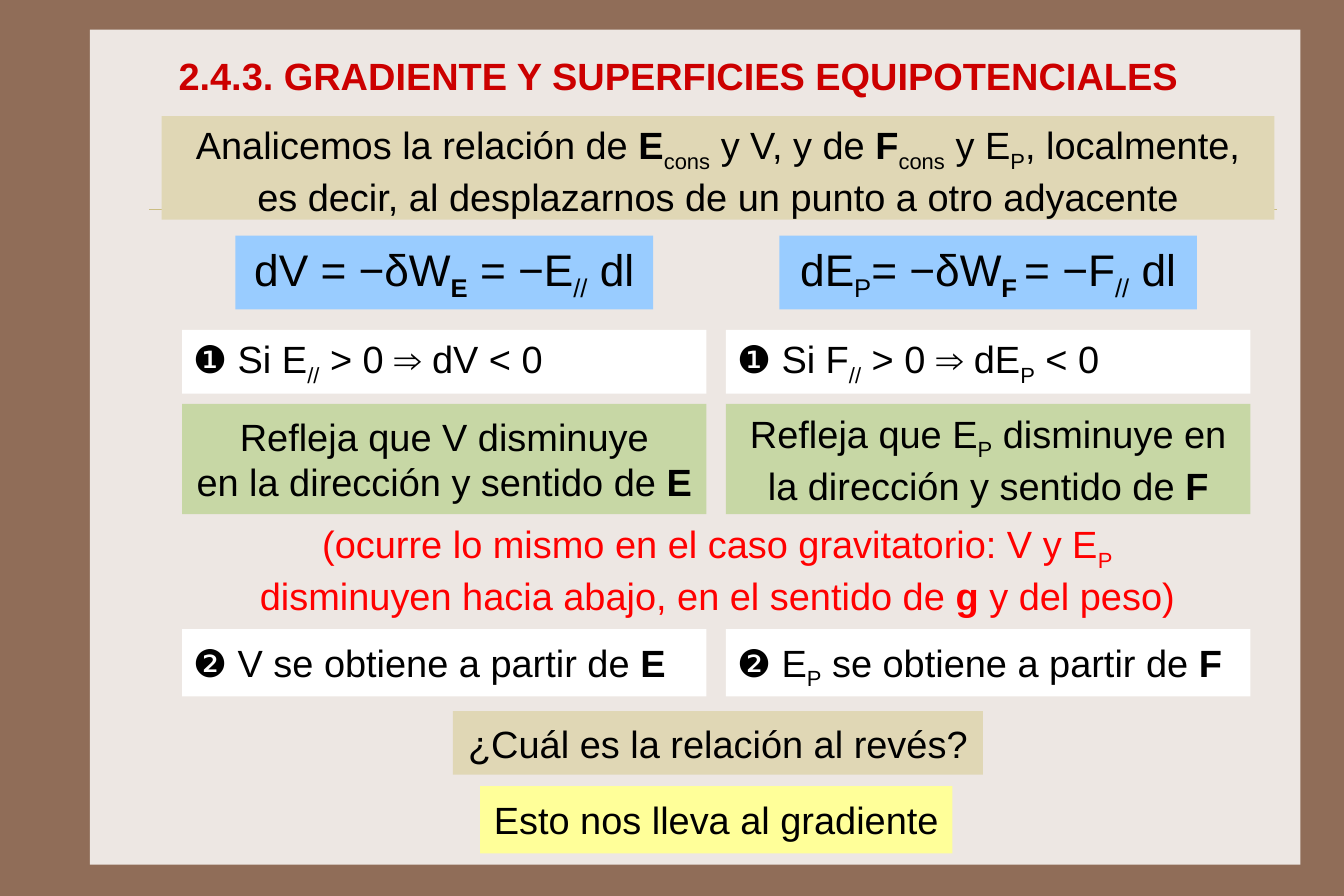
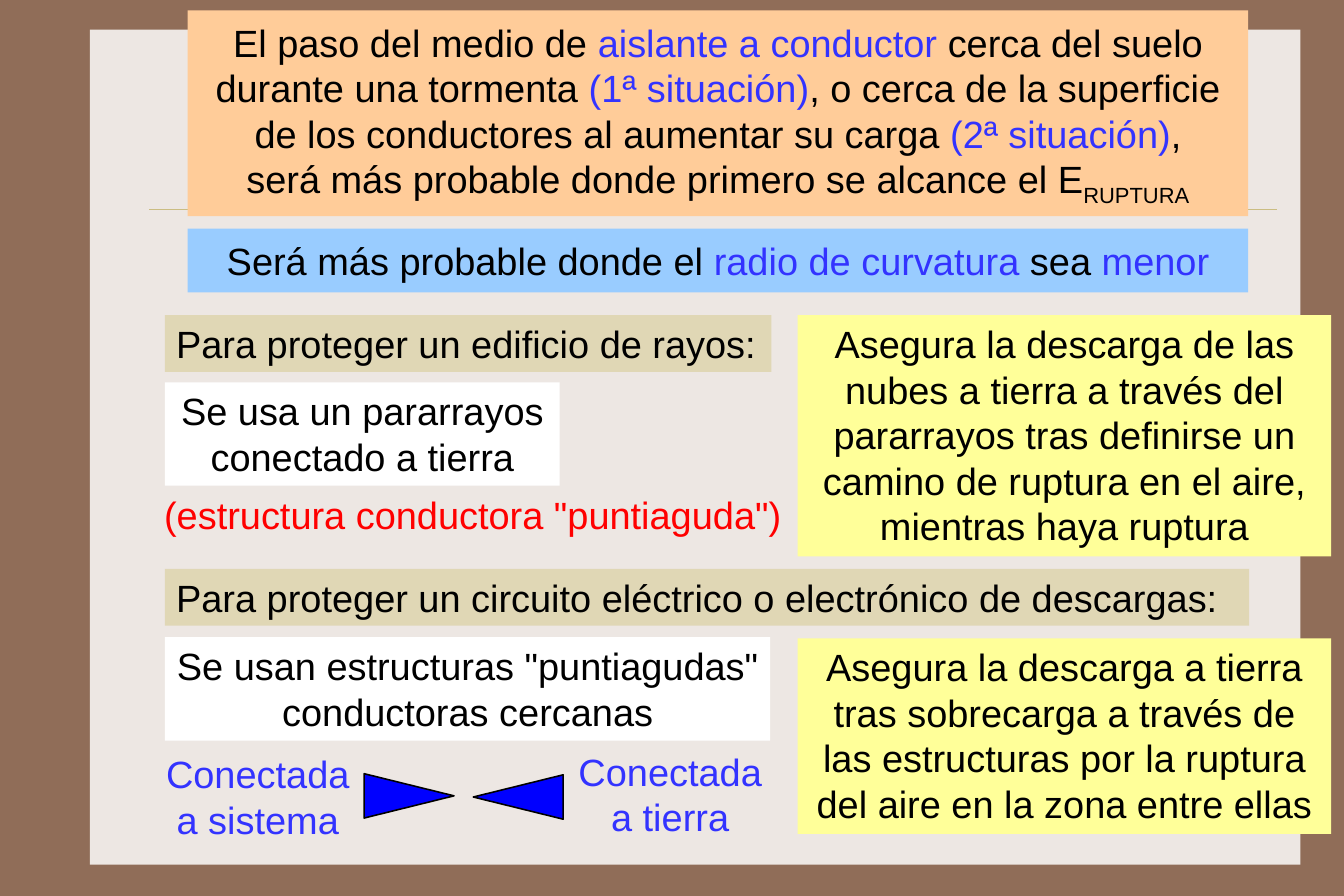
"""Build two slides on the potential gradient and on corona discharge."""
from dataclasses import dataclass
from typing import Optional

from lxml.etree import SubElement
from pptx import Presentation
from pptx.dml.color import RGBColor as Rgb
from pptx.enum.shapes import MSO_CONNECTOR as Link, MSO_SHAPE as Form
from pptx.enum.text import MSO_ANCHOR as Anchor, PP_ALIGN as Align
from pptx.oxml.ns import qn
from pptx.slide import Slide
from pptx.text.text import _Paragraph as Para
from pptx.util import Inches, Pt

CELL = 0.1
WIDE, HIGH = Pt(850.5), Pt(567)


@dataclass(frozen=True)
class Theme:
    """Colours and type sizes of the deck."""
    font: str = "Arial"
    body: int = 24
    large: int = 28
    frame: str = "906D58"
    panel: str = "EDE7E3"
    rule: str = "CBBD83"
    title: str = "CC0000"
    ink: str = "000000"
    note: str = "FF0000"
    accent: str = "3333FF"
    sand: str = "E0D7B5"
    green: str = "C7D7A5"
    white: str = "FFFFFF"
    sky: str = "99CCFF"
    yellow: str = "FFFF99"
    peach: str = "FFCC99"
    spike: str = "0000FF"


T = Theme()


@dataclass(frozen=True)
class Box:
    """A text block in grid cells; * bold, _ subscript, | accent toggle in its text."""
    x: float
    y: float
    w: float
    h: float
    text: str
    fill: Optional[str] = None
    ink: str = T.ink
    size: int = T.body
    bold: bool = False
    mid: bool = True
    top: bool = False
    pad: tuple[float, float] = (1, 0.5)
    wrap: bool = True


@dataclass(frozen=True)
class Pair:
    """A row of two matching boxes, inset from the sides of their columns."""
    y: float
    h: float
    texts: tuple[str, str]
    fill: str
    size: int = T.body
    mid: bool = False
    top: bool = False
    pad: tuple[float, float] = (1, 0.5)
    inset: float = 0


@dataclass(frozen=True)
class Spike:
    """A pointed conductor, turned by an angle."""
    x: float
    y: float
    turn: int


COLS = (16, 63.8)
COL_W = 46.1
SPAN_X, SPAN_W = 16.5, 93.2
LEFT, RIGHT = 14.5, 70.1
RIGHT_W = 46.9
SPIKE_W, SPIKE_H = 3.9, 7.9

PAIRS = (
    Pair(20.7, 6.5, ("dV = −δW_*E*_ = −E_//_ dl", "dE_P_= −δW_*F *_= −F_//_ dl"),
         T.sky, T.large, mid=True, pad=(1, 0.9), inset=4.7),
    Pair(29, 5.6, ("❶ Si E_//_ > 0 ⇒ dV < 0", "❶ Si F_//_ > 0 ⇒ dE_P_ < 0"), T.white),
    Pair(35.5, 9.7, ("Refleja que V disminuye\nen la dirección y sentido de *E*",
                     "Refleja que E_P_ disminuye en la dirección y sentido de *F*"),
         T.green, mid=True, pad=(1.2, 0.8)),
    Pair(55.3, 5.9, ("❷ V se obtiene a partir de *E*", "❷ E_P_ se obtiene a partir de *F*"),
         T.white, top=True, pad=(1, 0.9)),
)

FIELD = (
    Box(14.6, 4.1, 95.3, 5.1, "2.4.3. GRADIENTE Y SUPERFICIES EQUIPOTENCIALES",
        ink=T.title, bold=True, mid=False, pad=(1.1, 0.5)),
    Box(14.2, 10.2, 97.8, 9.1,
        "Analicemos la relación de *E*_cons_ y V, y de *F*_cons_ y E_P_, localmente, "
        "es decir, al desplazarnos de un punto a otro adyacente", T.sand, top=True, pad=(1.5, 0.5)),
    Box(19.8, 45.3, 86.5, 9.1,
        "(ocurre lo mismo en el caso gravitatorio: V y E_P_ "
        "disminuyen hacia abajo, en el sentido de *g* y del peso)", ink=T.note, top=True),
    Box(39.8, 62.5, 46.6, 5.6, "¿Cuál es la relación al revés?", T.sand),
    Box(42.2, 69.1, 41.5, 5.9, "Esto nos lleva al gradiente", T.yellow, pad=(1, 0.9), wrap=False),
)

GUARD = (
    Box(SPAN_X, 20.1, SPAN_W, 5.6, "Será más probable donde el |radio de curvatura |sea |menor|",
        T.sky, pad=(1, 0.8)),
    Box(SPAN_X, 0.9, SPAN_W, 18.1,
        "El paso del medio de |aislante a conductor |cerca del suelo\n"
        "durante una tormenta |(1ª situación)|, o cerca de la superficie\n"
        "de los conductores al aumentar su carga |(2ª situación)|,\n"
        "será más probable donde primero se alcance el E_RUPTURA_", T.peach, pad=(1, 0.8)),
    Box(LEFT, 27.7, 53.3, 5, "Para proteger un edificio de rayos:", T.sand, mid=False, top=True),
    Box(LEFT, 33.6, 34.7, 9.1, "Se usa un pararrayos conectado a tierra", T.white, top=True),
    Box(13.4, 42.7, 56.3, 5.1, '(estructura conductora "puntiaguda")', ink=T.note, top=True),
    Box(RIGHT, 27.7, RIGHT_W, 21.2,
        "Asegura la descarga de las nubes a tierra a través del pararrayos tras definirse "
        "un camino de ruptura en el aire, mientras haya ruptura", T.yellow, top=True),
    Box(LEFT, 50, 95.3, 5, "Para proteger un circuito eléctrico o electrónico de descargas:",
        T.sand, mid=False, top=True),
    Box(LEFT, 56, 53.2, 9.1, 'Se usan estructuras "puntiagudas" conductoras cercanas',
        T.white, top=True),
    Box(13.4, 65.5, 18.5, 9.1, "Conectada a sistema", ink=T.accent, top=True),
    Box(49.8, 65.3, 18.2, 9.1, "Conectada a tierra", ink=T.accent, top=True),
    Box(RIGHT, 56.1, RIGHT_W, 17.2,
        "Asegura la descarga a tierra tras sobrecarga a través de las estructuras por la "
        "ruptura del aire en la zona entre ellas", T.yellow, top=True),
)

SPIKES = (Spike(34, 66, 90), Spike(43.6, 66.1, 270))


def cells(*spans: float) -> list[Inches]:
    """Turn grid cells into slide lengths."""
    return [Inches(span * CELL) for span in spans]


def hue(code: str) -> Rgb:
    """Read a colour code."""
    return Rgb.from_string(code)


def write(para: Para, text: str) -> None:
    """Add the runs of one marked line."""
    marks = {"*": False, "_": False, "|": False}
    part = ""
    for sign in text + "\n":
        if sign not in marks and sign != "\n":
            part += sign
            continue
        if part:
            run = para.add_run()
            run.text = part
            if marks["*"]:
                run.font.bold = True
            if marks["_"]:
                run.font._element.set("baseline", "-25000")
            if marks["|"]:
                run.font.color.rgb = hue(T.accent)
            part = ""
        if sign in marks:
            marks[sign] = not marks[sign]


def draw_box(slide: Slide, box: Box) -> None:
    """Draw a text block, filled or bare."""
    place = cells(box.x, box.y, box.w, box.h)
    if box.fill:
        shape = slide.shapes.add_shape(Form.RECTANGLE, *place)
        shape.shadow.inherit = False
        shape.fill.solid()
        shape.fill.fore_color.rgb = hue(box.fill)
        shape.line.fill.background()
    else:
        shape = slide.shapes.add_textbox(*place)
    frame = shape.text_frame
    frame.word_wrap = box.wrap
    frame.vertical_anchor = Anchor.TOP if box.top else Anchor.MIDDLE
    side, edge = cells(*box.pad)
    frame.margin_left = frame.margin_right = side
    frame.margin_top = frame.margin_bottom = edge
    for row, line in enumerate(box.text.split("\n")):
        para = frame.add_paragraph() if row else frame.paragraphs[0]
        para.alignment = Align.CENTER if box.mid else Align.LEFT
        font = para.font
        font.name, font.size, font.bold = T.font, Pt(box.size), box.bold
        font.color.rgb = hue(box.ink)
        write(para, line)


def draw_pair(slide: Slide, pair: Pair) -> None:
    """Draw one box in each column."""
    for x, text in zip(COLS, pair.texts):
        draw_box(slide, Box(x + pair.inset, pair.y, COL_W - 2 * pair.inset, pair.h, text,
                            pair.fill, size=pair.size, mid=pair.mid, top=pair.top, pad=pair.pad))


def draw_spike(slide: Slide, spike: Spike) -> None:
    """Draw a pointed conductor."""
    shape = slide.shapes.add_shape(Form.ISOSCELES_TRIANGLE,
                                   *cells(spike.x, spike.y, SPIKE_W, SPIKE_H))
    shape.rotation = spike.turn
    shape.shadow.inherit = False
    shape.fill.solid()
    shape.fill.fore_color.rgb = hue(T.spike)
    shape.line.color.rgb = hue(T.ink)
    shape.line.width = Pt(1)


def add_slide(deck: Presentation) -> Slide:
    """Add a slide with the shared frame, panel and rule."""
    slide = deck.slides.add_slide(deck.slide_layouts[6])
    back = slide.background.fill
    back.solid()
    back.fore_color.rgb = hue(T.frame)
    panel = slide.shapes.add_shape(Form.RECTANGLE, *cells(7.9, 2.6, 106.4, 73.4))
    panel.shadow.inherit = False
    panel.fill.solid()
    panel.fill.fore_color.rgb = hue(T.panel)
    panel.line.fill.background()
    rule = slide.shapes.add_connector(Link.STRAIGHT, *cells(13.1, 18.4, 112.2, 18.4))
    rule.line.color.rgb = hue(T.rule)
    rule.line.width = Pt(0.25)
    SubElement(rule._element.spPr, qn("a:effectLst"))
    return slide


def main() -> None:
    """Build and save the deck."""
    deck = Presentation()
    deck.slide_width, deck.slide_height = WIDE, HIGH
    field = add_slide(deck)
    for box in FIELD:
        draw_box(field, box)
    for pair in PAIRS:
        draw_pair(field, pair)
    guard = add_slide(deck)
    for box in GUARD:
        draw_box(guard, box)
    for spike in SPIKES:
        draw_spike(guard, spike)
    deck.save("out.pptx")


if __name__ == "__main__":
    main()
